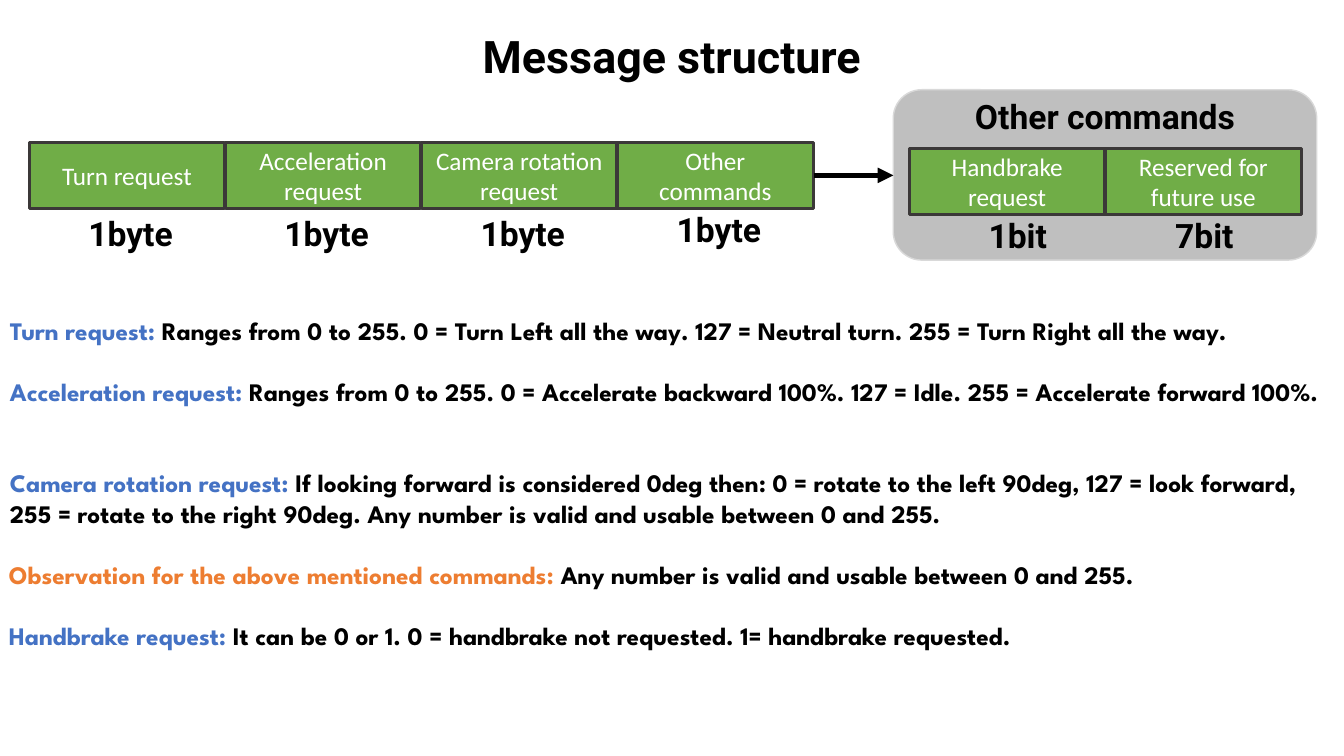
from lxml import etree
from pptx import Presentation
from pptx.dml.color import RGBColor
from pptx.enum.shapes import MSO_CONNECTOR as Connector, MSO_SHAPE as Preset
from pptx.enum.text import MSO_ANCHOR as Anchor, MSO_AUTO_SIZE as AutoSize, PP_ALIGN as Align
from pptx.oxml.ns import qn
from pptx.util import Inches, Pt

BLACK, WHITE, BLUE, ORANGE = "000000", "FFFFFF", "4472C4", "ED7D31"
FIELD_WIDTH, FIELD_HEIGHT, FIELD_STEP = 1.94, 0.66, 1.945
SLIDE_WIDTH = 13.33


def color(value):
    return RGBColor.from_string(value)


def add_run(paragraph, text, size=18, font="Calibri", ink=BLACK, bold=False):
    run = paragraph.add_run()
    run.text = text
    run.font.size = Pt(size)
    run.font.name = font
    run.font.bold = bold
    run.font.color.rgb = color(ink)


class MessageSlide:
    """Draws message fields, labels and notes on one slide."""

    def __init__(self, slide):
        self.slide = slide
        self.shapes = slide.shapes

    def start_group(self):
        self.shapes = self.slide.shapes.add_group_shape().shapes

    def end_group(self):
        self.shapes = self.slide.shapes

    def box(self, preset, left, top, width, height, fill, line, weight):
        shape = self.shapes.add_shape(
            preset, Inches(left), Inches(top), Inches(width), Inches(height))
        shape.shadow.inherit = False
        shape.fill.solid()
        shape.fill.fore_color.rgb = color(fill)
        shape.line.color.rgb = color(line)
        shape.line.width = Pt(weight)
        return shape

    def field(self, text, left, top):
        shape = self.box(Preset.RECTANGLE, left, top, FIELD_WIDTH, FIELD_HEIGHT,
                         "70AD47", "3B3838", 2.25)
        frame = shape.text_frame
        frame.word_wrap = True
        frame.vertical_anchor = Anchor.MIDDLE
        paragraph = frame.paragraphs[0]
        paragraph.alignment = Align.CENTER
        add_run(paragraph, text, ink=WHITE)

    def text_box(self, left, top, width, height, align=Align.LEFT):
        shape = self.shapes.add_textbox(
            Inches(left), Inches(top), Inches(width), Inches(height))
        frame = shape.text_frame
        frame.word_wrap = True
        frame.auto_size = AutoSize.SHAPE_TO_FIT_TEXT
        paragraph = frame.paragraphs[0]
        paragraph.alignment = align
        return paragraph

    def heading(self, text, left, top, width, height=0.5, size=24):
        paragraph = self.text_box(left, top, width, height, Align.CENTER)
        add_run(paragraph, text, size=size, font="Roboto", bold=True)

    def note(self, term, meaning, left, top, height, ink):
        paragraph = self.text_box(left, top, SLIDE_WIDTH, height)
        for text, shade in ((term + ": ", ink), (meaning, BLACK)):
            add_run(paragraph, text, font="League Spartan", ink=shade, bold=True)

    def arrow(self, start, end, y):
        connector = self.shapes.add_connector(
            Connector.STRAIGHT, Inches(start), Inches(y), Inches(end), Inches(y))
        connector.line.color.rgb = color(BLACK)
        connector.line.width = Pt(3.75)
        etree.SubElement(connector.line._get_or_add_ln(), qn("a:tailEnd"), type="triangle")
        etree.SubElement(connector._element.spPr, qn("a:effectLst"))


def main():
    presentation = Presentation()
    presentation.slide_width = Inches(SLIDE_WIDTH)
    presentation.slide_height = Inches(7.5)
    page = MessageSlide(presentation.slides.add_slide(presentation.slide_layouts[6]))

    page.heading("Message structure", 0, 0.24, SLIDE_WIDTH, 0.64, size=32)

    page.start_group()
    page.box(Preset.ROUNDED_RECTANGLE, 8.86, 0.89, 4.2, 1.69, "BFBFBF", "D9D9D9", 1)
    bit_fields = [("Handbrake request", "1bit", 9.23),
                  ("Reserved for future use", "7bit", 11.08)]
    for index, (name, length, label_left) in enumerate(bit_fields):
        page.field(name, 9.02 + index * FIELD_STEP, 1.47)
        page.heading(length, label_left, 2.08, 1.73)
    page.heading("Other commands", 8.86, 0.9, 4.2)

    page.start_group()
    byte_fields = [("Turn request", 2.06), ("Acceleration request", 2.06),
                   ("Camera rotation request", 2.06), ("Other commands", 2.02)]
    for index, (name, label_top) in enumerate(byte_fields):
        left = 0.29 + index * FIELD_STEP
        page.field(name, left, 1.41)
        page.heading("1byte", left + 0.14, label_top, 1.73)
    page.end_group()
    page.arrow(8.07, 8.86, 1.74)

    notes = [
        ("Turn request",
         "Ranges from 0 to 255. 0 = Turn Left all the way. 127 = Neutral turn. "
         "255 = Turn Right all the way.", 0, 3.08, 0.4, BLUE),
        ("Acceleration request",
         "Ranges from 0 to 255. 0 = Accelerate backward 100%. 127 = Idle. "
         "255 = Accelerate forward 100%.", 0, 3.68, 0.71, BLUE),
        ("Camera rotation request",
         "If looking forward is considered 0deg then: 0 = rotate to the left 90deg, "
         "127 = look forward, 255 = rotate to the right 90deg. "
         "Any number is valid and usable between 0 and 255.", 0, 4.59, 0.71, BLUE),
        ("Observation for the above mentioned commands",
         "Any number is valid and usable between 0 and 255.", -0.01, 5.5, 0.4, ORANGE),
        ("Handbrake request",
         "It can be 0 or 1. 0 = handbrake not requested. 1= handbrake requested.",
         -0.01, 6.1, 0.4, BLUE),
    ]
    for note in notes:
        page.note(*note)

    presentation.save("out.pptx")


if __name__ == "__main__":
    main()
